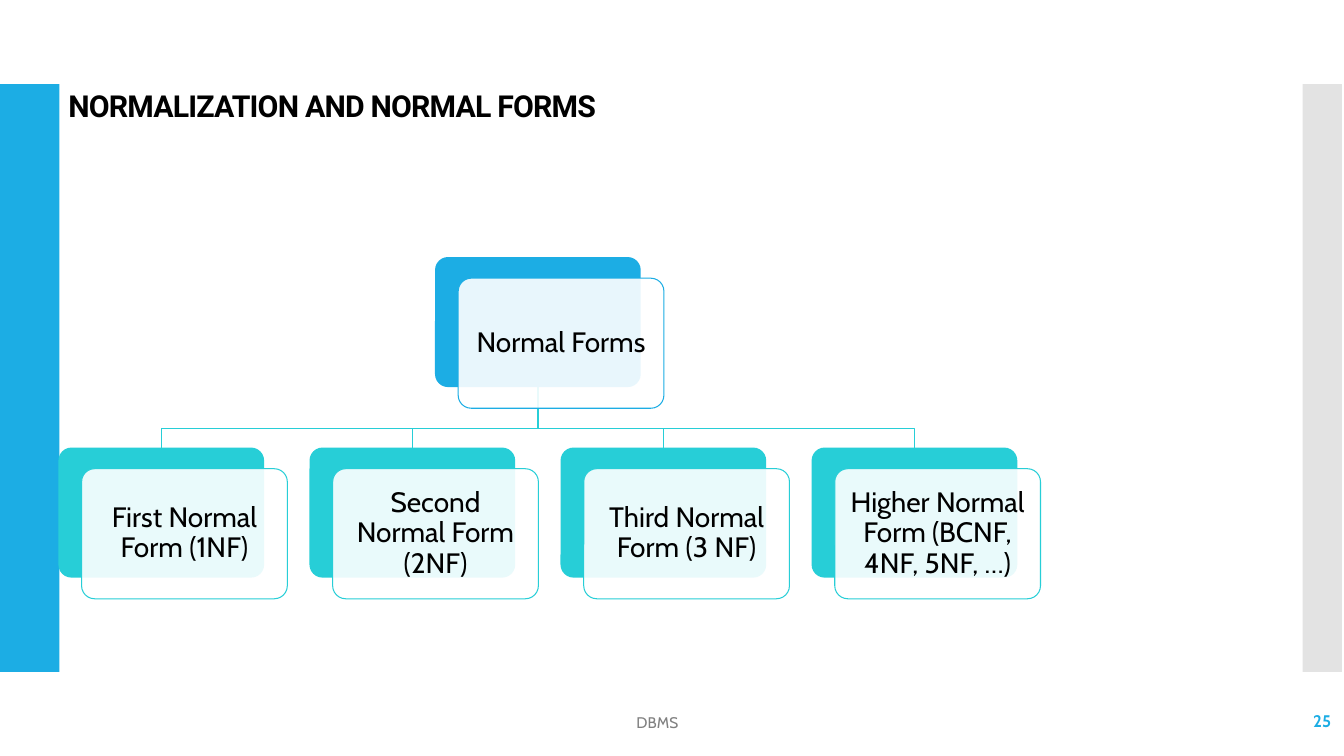
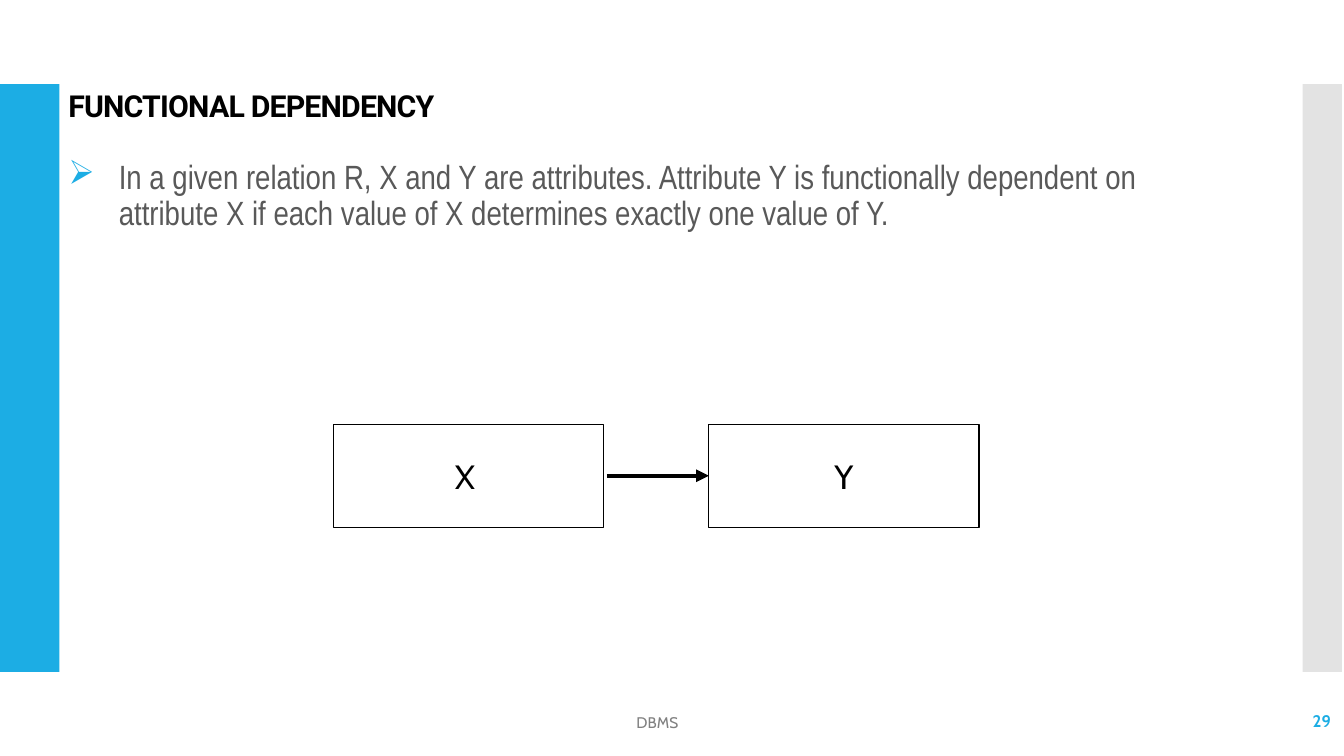
from lxml.etree import SubElement
from pptx import Presentation
from pptx.dml.color import RGBColor
from pptx.enum.shapes import MSO_CONNECTOR, MSO_SHAPE
from pptx.enum.text import MSO_ANCHOR, PP_ALIGN
from pptx.oxml.ns import qn
from pptx.util import Inches, Pt

BLUE = RGBColor(0x1C, 0xAD, 0xE4)
TEAL = RGBColor(0x27, 0xCE, 0xD7)
SILVER = RGBColor(0xC8, 0xC8, 0xC8)
GRAY = RGBColor(0x80, 0x80, 0x80)
DARK = RGBColor(0x59, 0x59, 0x59)
BLACK = RGBColor(0, 0, 0)
WHITE = RGBColor(0xFF, 0xFF, 0xFF)

FOOTER = "DBMS"
FORMS_TITLE, FORMS_NUMBER = "NORMALIZATION AND NORMAL FORMS", 25
FORMS_ROOT = "Normal Forms"
FORMS = [
    "First Normal Form (1NF)",
    "Second Normal Form (2NF)",
    "Third Normal Form (3 NF)",
    "Higher Normal Form (BCNF, 4NF, 5NF, …)",
]
DEPENDENCY_TITLE, DEPENDENCY_NUMBER = "FUNCTIONAL DEPENDENCY", 29
DEFINITION = (
    "In a given relation R, X and Y are attributes. Attribute Y is functionally dependent on "
    "attribute X if each value of X determines exactly one value of Y."
)
ATTRIBUTES = ["X ", "Y"]

WIDTH, HEIGHT = 13.33, 7.5
MARGIN = 0.58
BAND_TOP, BAND_HEIGHT = HEIGHT / 9, HEIGHT * 7 / 9
CARD_WIDTH, CARD_HEIGHT, CARD_STEP = 2.04, 1.29, 2.49
CARD_SHIFT = (0.23, 0.21)
ROOT_TOP, LEAF_TOP, BUS_DROP = 2.55, 4.44, 0.19
BOX_LEFT, BOX_TOP, BOX_WIDTH, BOX_HEIGHT, BOX_STEP = 3.31, 4.21, 2.68, 1.02, 3.72


def write(shape, text, size, color, font="Cabin", bold=False, align=PP_ALIGN.LEFT,
          anchor=MSO_ANCHOR.MIDDLE, inset=None, leading=None, tracking=None, bullet=None):
    frame = shape.text_frame
    frame.word_wrap = True
    frame.vertical_anchor = anchor
    if inset is not None:
        frame.margin_left = frame.margin_right = Inches(inset)
        frame.margin_top = frame.margin_bottom = Inches(inset)
    paragraph = frame.paragraphs[0]
    paragraph.alignment = align
    if leading:
        paragraph.line_spacing = leading
    if bullet:
        props = paragraph._p.get_or_add_pPr()
        props.set("marL", str(Inches(0.5)))
        props.set("indent", str(-Inches(0.5)))
        SubElement(SubElement(props, qn("a:buClr")), qn("a:srgbClr")).set("val", str(BLUE))
        SubElement(props, qn("a:buChar")).set("char", bullet)
    run = paragraph.add_run()
    run.text = text
    run.font.name, run.font.size, run.font.bold = font, Pt(size), bold
    run.font.color.rgb = color
    if tracking:
        run._r.get_or_add_rPr().set("spc", str(round(tracking * 100)))


def add_text(slide, place, text, size, color, **style):
    write(slide.shapes.add_textbox(*map(Inches, place)), text, size, color, **style)


def outline(shape, color, width):
    if color is None:
        shape.line.fill.background()
    else:
        shape.line.color.rgb = color
        shape.line.width = Pt(width)


def add_block(slide, place, kind=MSO_SHAPE.RECTANGLE, fill=None, opacity=None, line=None, width=0.75):
    block = slide.shapes.add_shape(kind, *map(Inches, place))
    block.shadow.inherit = False
    if kind == MSO_SHAPE.ROUNDED_RECTANGLE:
        block.adjustments[0] = 0.1
    if fill is None:
        block.fill.background()
    else:
        block.fill.solid()
        block.fill.fore_color.rgb = fill
    if opacity:
        tint = block._element.spPr.find(qn("a:solidFill"))[0]
        SubElement(tint, qn("a:alpha")).set("val", str(opacity * 1000))
    outline(block, line, width)
    return block


def add_elbow(slide, start, end):
    bus = end[1] - BUS_DROP
    points = [(Inches(x), Inches(y)) for x, y in (start, (start[0], bus), (end[0], bus), end)]
    builder = slide.shapes.build_freeform(*points[0])
    builder.add_line_segments(points[1:], close=False)
    elbow = builder.convert_to_shape()
    elbow.shadow.inherit = False
    elbow.fill.background()
    outline(elbow, TEAL, 0.85)


def add_card(slide, left, top, text, color):
    rounded = MSO_SHAPE.ROUNDED_RECTANGLE
    add_block(slide, (left, top, CARD_WIDTH, CARD_HEIGHT), rounded, fill=color)
    place = (left + CARD_SHIFT[0], top + CARD_SHIFT[1], CARD_WIDTH, CARD_HEIGHT)
    front = add_block(slide, place, rounded, fill=WHITE, opacity=90, line=color)
    write(front, text, 20, BLACK, align=PP_ALIGN.CENTER, inset=0.08, leading=0.9)


def add_arrow(slide, left, right, y):
    arrow = slide.shapes.add_connector(MSO_CONNECTOR.STRAIGHT, *map(Inches, (left, y, right, y)))
    outline(arrow, BLACK, 3)
    SubElement(arrow.line._get_or_add_ln(), qn("a:tailEnd")).set("type", "triangle")
    SubElement(arrow._element.spPr, qn("a:effectLst"))


def start_slide(deck, title, number):
    slide = deck.slides.add_slide(deck.slide_layouts[6])
    add_block(slide, (0, BAND_TOP, 0.59, BAND_HEIGHT), fill=BLUE)
    add_block(slide, (12.92, BAND_TOP, 0.39, BAND_HEIGHT), fill=SILVER, opacity=50)
    add_text(slide, (MARGIN, 0.86, 10.44, 0.4), title, 21.6, BLACK, font="Roboto", bold=True,
             anchor=MSO_ANCHOR.TOP, leading=0.9, tracking=-0.6)
    add_text(slide, (11.63, 6.95, 1.67, 0.4), str(number), 12, BLUE, bold=True, align=PP_ALIGN.RIGHT)
    add_text(slide, (3.29, 6.97, 6.46, 0.4), FOOTER, 11, GRAY, align=PP_ALIGN.CENTER)
    return slide


def build_forms(deck):
    slide = start_slide(deck, FORMS_TITLE, FORMS_NUMBER)
    lefts = [MARGIN + CARD_STEP * column for column in range(len(FORMS))]
    root_left = (lefts[0] + lefts[-1]) / 2
    half = CARD_WIDTH / 2
    for left in reversed(lefts):
        add_elbow(slide, (root_left + half, ROOT_TOP + CARD_HEIGHT), (left + half, LEAF_TOP))
    add_card(slide, root_left, ROOT_TOP, FORMS_ROOT, BLUE)
    for left, form in zip(lefts, FORMS):
        add_card(slide, left, LEAF_TOP, form, TEAL)


def build_dependency(deck):
    slide = start_slide(deck, DEPENDENCY_TITLE, DEPENDENCY_NUMBER)
    add_text(slide, (MARGIN, 1.54, 11.62, 5.36), DEFINITION, 24, DARK, font="Arial Narrow",
             anchor=MSO_ANCHOR.TOP, leading=0.9, bullet="➢")
    for column, attribute in enumerate(ATTRIBUTES):
        place = (BOX_LEFT + BOX_STEP * column, BOX_TOP, BOX_WIDTH, BOX_HEIGHT)
        box = add_block(slide, place, line=BLACK, width=0.85)
        write(box, attribute, 24, BLACK, align=PP_ALIGN.CENTER)
    add_arrow(slide, BOX_LEFT + BOX_WIDTH + 0.03, BOX_LEFT + BOX_STEP, BOX_TOP + BOX_HEIGHT / 2)


def main():
    deck = Presentation()
    deck.slide_width, deck.slide_height = Inches(WIDTH), Inches(HEIGHT)
    build_forms(deck)
    build_dependency(deck)
    deck.save("out.pptx")


if __name__ == "__main__":
    main()
